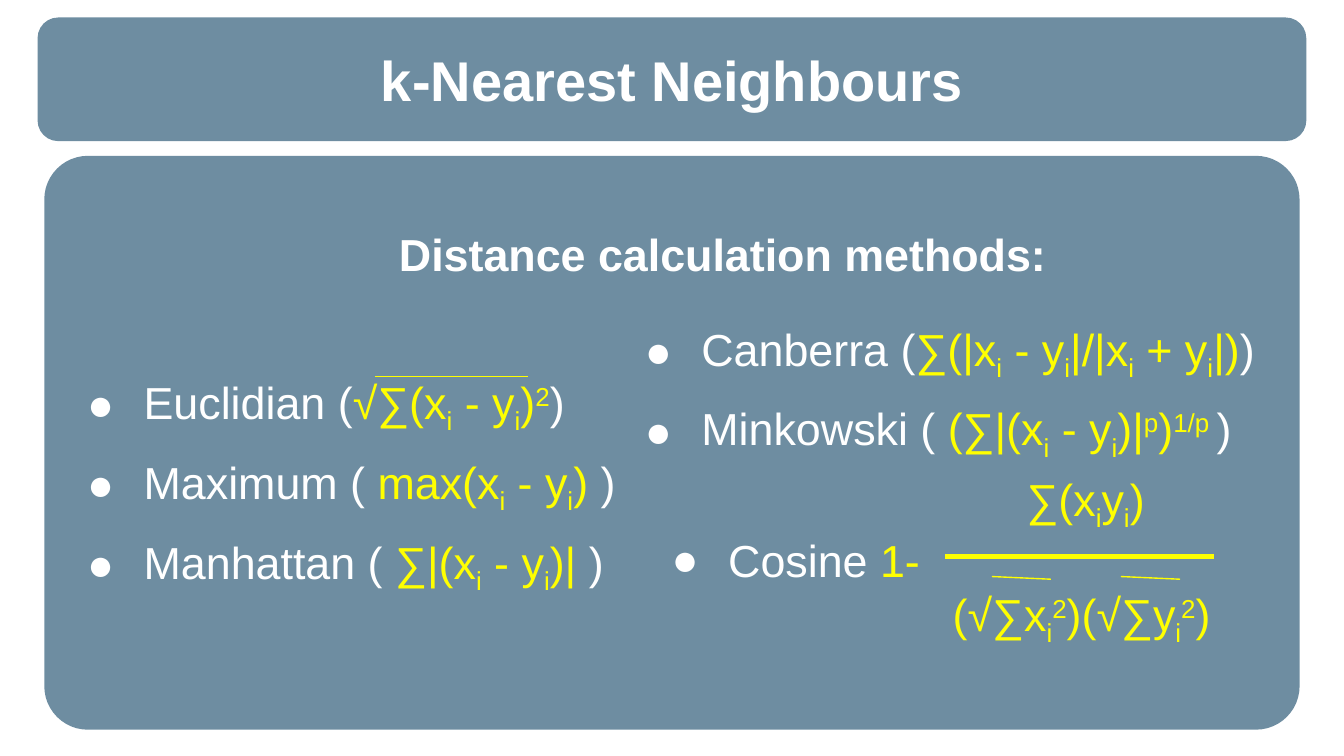
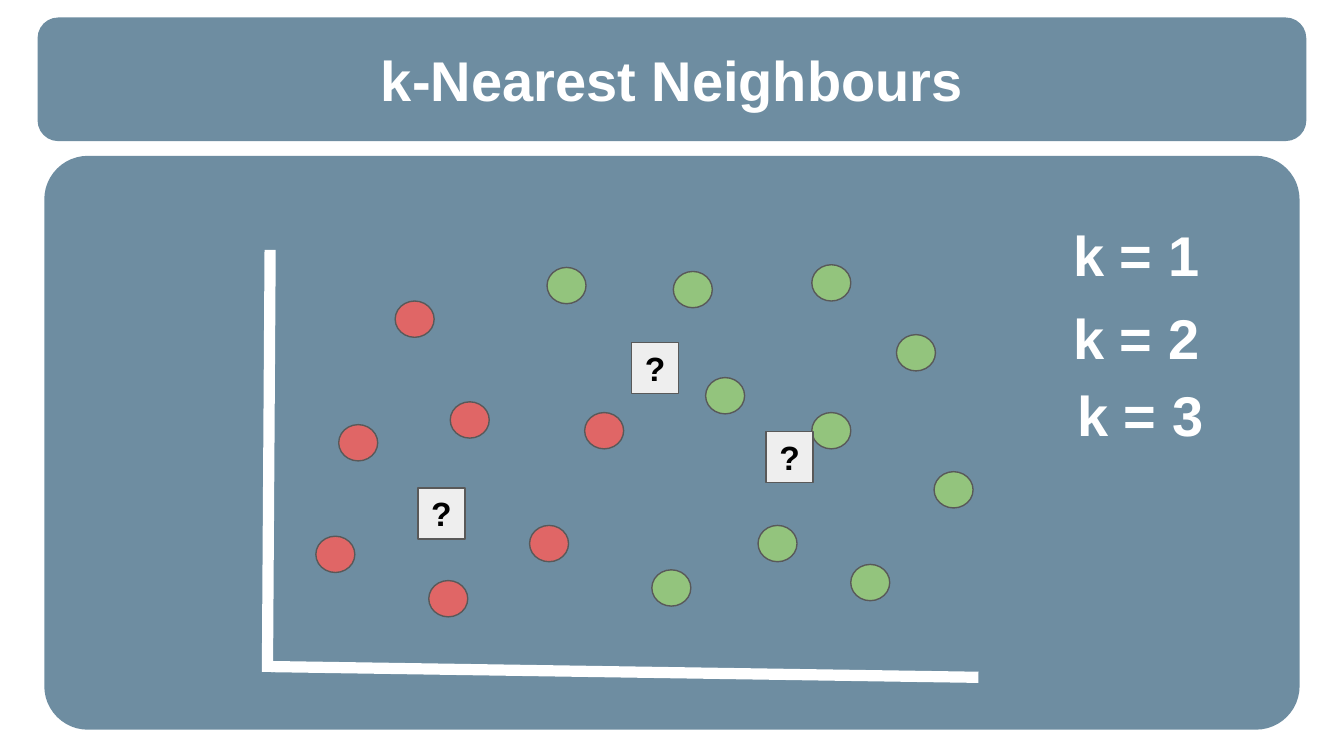
from dataclasses import dataclass

from lxml.etree import SubElement
from pptx import Presentation
from pptx.dml.color import RGBColor
from pptx.enum.shapes import MSO_CONNECTOR, MSO_SHAPE
from pptx.enum.text import MSO_ANCHOR, PP_ALIGN
from pptx.oxml.ns import qn
from pptx.util import Inches, Pt


@dataclass(frozen=True)
class Theme:
    """Colours and type sizes shared by the slides."""
    font: str = "Arial"
    panel: str = "215170"
    panel_alpha: int = 65
    text: str = "FFFFFF"
    formula: str = "FFFF00"
    red: str = "E06666"
    green: str = "93C47D"
    unknown: str = "EEEEEE"
    outline: str = "595959"
    dark: str = "000000"
    title: int = 30
    body: int = 24
    mark: int = 18


@dataclass(frozen=True)
class Box:
    """A rectangle in inches that can place parts inside itself."""
    x: float
    y: float
    w: float
    h: float

    def inner(self, dx, dy, w, h):
        """Return a box offset from this one's corner."""
        return Box(self.x + dx, self.y + dy, w, h)

    def emu(self):
        """Return the box as python-pptx lengths."""
        return [Inches(v) for v in (self.x, self.y, self.w, self.h)]


T = Theme()
BAND = Box(0.28, 0.13, 9.44, 0.92)
PANEL = Box(0.33, 1.16, 9.34, 4.27)

LEFT_METHODS = [
    "Euclidian (~√∑(x{_i} - y{_i}){^2}~)",
    "Maximum ( ~max(x{_i} - y{_i}) ~)",
    "Manhattan ( ~∑|(x{_i} - y{_i})| ~)",
]
RIGHT_METHODS = [
    "Canberra (~∑(|x{_i} - y{_i}|/|x{_i} + y{_i}|)~)",
    "Minkowski ( ~(∑|(x{_i} - y{_i})|{^p}){^1/p }~)",
]
COSINE = [
    ("~∑(x{_i}y{_i})", 2.72, False),
    ("Cosine ~1-", 0.5, True),
    ("~(√∑x{_i}{^2})(√∑y{_i}{^2})", 2.17, False),
]
RED_POINTS = [(2.19, 2.0), (3.02, 1.83), (3.61, 2.75), (2.86, 3.16),
              (2.02, 2.83), (4.02, 1.91), (2.61, 1.08)]
GREEN_POINTS = [(4.52, 3.08), (4.68, 0.86), (4.92, 1.65), (5.71, 1.91),
                (5.31, 2.75), (6.0, 3.04), (6.62, 2.35), (6.34, 1.33),
                (5.71, 0.81), (3.74, 0.83)]
UNKNOWN_POINTS = [(5.37, 2.05), (2.78, 2.47), (4.37, 1.39)]
K_LABELS = [("k = 1", 6.95, 0.47), ("k = 2", 6.95, 1.08), ("k = 3", 6.98, 1.66)]


def rgb(code):
    """Turn a hex code into a colour."""
    return RGBColor.from_string(code)


def style(font, size, color, bold=False):
    """Apply the theme font to a run."""
    font.name, font.size, font.bold = T.font, Pt(size), bold
    font.color.rgb = rgb(color)


def set_insets(tf):
    """Give a text frame its wrapping and even margins."""
    tf.word_wrap = True
    tf.margin_left = tf.margin_right = Inches(0.1)
    tf.margin_top = tf.margin_bottom = Inches(0.1)


def add_shape(s, kind, box, fill, outline=None):
    """Add a flat preset shape."""
    sp = s.shapes.add_shape(kind, *box.emu())
    sp.shadow.inherit = False
    sp.fill.solid()
    sp.fill.fore_color.rgb = rgb(fill)
    if outline:
        sp.line.color.rgb = rgb(outline)
        sp.line.width = Pt(0.75)
    else:
        sp.line.fill.background()
    return sp


def add_rounded(s, box, radius):
    """Add a translucent rounded panel."""
    sp = add_shape(s, MSO_SHAPE.ROUNDED_RECTANGLE, box, T.panel)
    sp.adjustments[0] = radius
    color = sp.fill._xPr.find(qn("a:solidFill"))[0]
    SubElement(color, qn("a:alpha")).set("val", str(T.panel_alpha * 1000))


def add_line(s, box, start, end, color, width):
    """Add a straight line between two points of a box."""
    (x1, y1), (x2, y2) = start, end
    ends = (box.x + x1, box.y + y1, box.x + x2, box.y + y2)
    cx = s.shapes.add_connector(MSO_CONNECTOR.STRAIGHT, *map(Inches, ends))
    cx.line.color.rgb = rgb(color)
    cx.line.width = Pt(width)
    SubElement(cx._element.spPr, qn("a:effectLst"))


def add_text(s, box, text, size, align=PP_ALIGN.LEFT, anchor=MSO_ANCHOR.TOP):
    """Add one line of bold text."""
    tf = s.shapes.add_textbox(*box.emu()).text_frame
    set_insets(tf)
    tf.vertical_anchor = anchor
    tf.text = text
    p = tf.paragraphs[0]
    p.alignment = align
    style(p.runs[0].font, size, T.text, True)


def add_centred(s, box, text):
    """Add a centred line in the title style."""
    add_text(s, box, text, T.title, PP_ALIGN.CENTER, MSO_ANCHOR.MIDDLE)


def set_indent(p, left, bullet):
    """Set a paragraph's indent and its bullet."""
    pPr = p._p.get_or_add_pPr()
    pPr.set("marL", str(Inches(left)))
    pPr.set("indent", str(Inches(-0.42 if bullet else 0)))
    if bullet:
        color = SubElement(pPr, qn("a:buClr"))
        SubElement(color, qn("a:srgbClr")).set("val", T.text)
        SubElement(pPr, qn("a:buFont")).set("typeface", T.font)
        SubElement(pPr, qn("a:buChar")).set("char", "●")
    else:
        SubElement(pPr, qn("a:buNone"))


def add_formula(p, markup):
    """Write markup: ~ switches colour, {_a} is lowered, {^a} is raised."""
    for i, part in enumerate(markup.split("~")):
        for j, chunk in enumerate(part.replace("}", "{").split("{")):
            if not chunk:
                continue
            r = p.add_run()
            r.text = chunk[1:] if j % 2 else chunk
            style(r.font, T.body, T.formula if i % 2 else T.text)
            if j % 2:
                shift = "-25000" if chunk[0] == "_" else "30000"
                r._r.get_or_add_rPr().set("baseline", shift)


def add_formulas(s, box, rows, gap=0):
    """Add a text box of formula rows given as markup, indent and bullet."""
    tf = s.shapes.add_textbox(*box.emu()).text_frame
    set_insets(tf)
    for i, (markup, left, bullet) in enumerate(rows):
        p = tf.add_paragraph() if i else tf.paragraphs[0]
        if i and gap:
            p.space_before = Pt(gap)
        set_indent(p, left, bullet)
        add_formula(p, markup)


def add_methods(s, box, methods):
    """Add a bulleted list of distance methods."""
    add_formulas(s, box, [(m, 0.5, True) for m in methods], 10)


def add_cosine(s, box):
    """Add the cosine fraction with its bar and root lines."""
    add_formulas(s, box, COSINE)
    for x in (2.56, 3.52):
        add_line(s, box, (x, 0.88), (x + 0.44, 0.9), T.formula, 0.75)
    add_line(s, box, (2.21, 0.73), (4.21, 0.73), T.formula, 3)


def add_frame(s):
    """Add the title band and the body panel."""
    add_rounded(s, BAND, 0.167)
    add_rounded(s, PANEL, 0.076)
    add_centred(s, BAND.inner(0.05, 0.16, 9.34, 0.6), "k-Nearest Neighbours")


def build_methods(s, box):
    """Fill the panel with the distance formulas."""
    add_methods(s, box.inner(0.14, 1.53, 5.68, 1.84), LEFT_METHODS)
    add_line(s, box, (2.46, 1.64), (3.6, 1.64), T.formula, 0.75)
    add_cosine(s, box.inner(4.49, 2.25, 4.74, 1.38))
    add_text(s, box.inner(2.54, 0.43, 5.33, 0.52),
             "Distance calculation methods:", T.body)
    add_methods(s, box.inner(4.29, 1.13, 5.05, 1.42), RIGHT_METHODS)


def build_scatter(s, box):
    """Fill the panel with the two classes, unknown points and k values."""
    for color, points in ((T.red, RED_POINTS), (T.green, GREEN_POINTS)):
        for x, y in points:
            add_shape(s, MSO_SHAPE.OVAL, box.inner(x, y, 0.29, 0.27),
                      color, T.outline)
    add_line(s, box, (1.68, 0.7), (1.66, 3.84), T.text, 6)
    add_line(s, box, (6.95, 3.88), (1.69, 3.8), T.text, 6)
    for x, y in UNKNOWN_POINTS:
        sp = add_shape(s, MSO_SHAPE.RECTANGLE, box.inner(x, y, 0.35, 0.38),
                       T.unknown, T.outline)
        tf = sp.text_frame
        set_insets(tf)
        tf.vertical_anchor = MSO_ANCHOR.MIDDLE
        tf.text = "?"
        p = tf.paragraphs[0]
        p.alignment = PP_ALIGN.LEFT
        style(p.runs[0].font, T.mark, T.dark, True)
    for text, x, y in K_LABELS:
        add_centred(s, box.inner(x, y, 2.35, 0.53), text)


def main():
    """Build and save the deck."""
    prs = Presentation()
    prs.slide_width = Inches(10)
    prs.slide_height = Inches(10) * 9 // 16
    for build in (build_methods, build_scatter):
        s = prs.slides.add_slide(prs.slide_layouts[6])
        add_frame(s)
        build(s, PANEL)
    prs.save("out.pptx")


if __name__ == "__main__":
    main()
